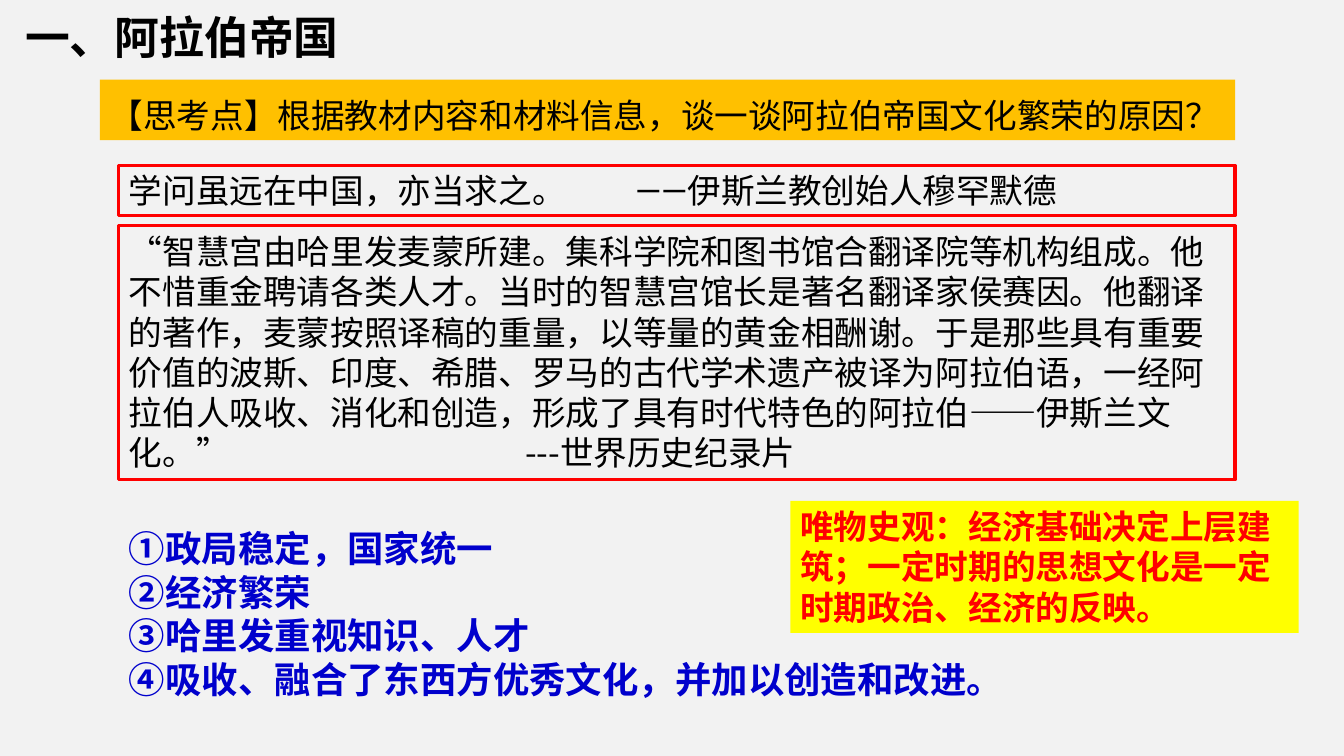
from lxml.etree import SubElement
from pptx import Presentation
from pptx.dml.color import RGBColor
from pptx.enum.shapes import MSO_SHAPE
from pptx.enum.text import MSO_ANCHOR, MSO_AUTO_SIZE, PP_ALIGN
from pptx.oxml.ns import qn
from pptx.util import Inches, Pt

BLACK = RGBColor(0x00, 0x00, 0x00)
RED = RGBColor(0xFF, 0x00, 0x00)
BLUE = RGBColor(0x00, 0x00, 0xCC)
YELLOW = RGBColor(0xFF, 0xFF, 0x00)
AMBER = RGBColor(0xFF, 0xC0, 0x00)
PAPER = RGBColor(0xF2, 0xF2, 0xF2)
HAN_FONT = "Noto Sans CJK SC"
LATIN_FONT = "Roboto"

QUESTION = "【思考点】根据教材内容和材料信息，谈一谈阿拉伯帝国文化繁荣的原因？"
SAYING = "学问虽远在中国，亦当求之。"
SAYING_SOURCE = "——伊斯兰教创始人穆罕默德"
PASSAGE = (
    "“智慧宫由哈里发麦蒙所建。集科学院和图书馆合翻译院等机构组成。"
    "他不惜重金聘请各类人才。当时的智慧宫馆长是著名翻译家侯赛因。"
    "他翻译的著作，麦蒙按照译稿的重量，以等量的黄金相酬谢。"
    "于是那些具有重要价值的波斯、印度、希腊、罗马的古代学术遗产被译为阿拉伯语，"
    "一经阿拉伯人吸收、消化和创造，形成了具有时代特色的阿拉伯——伊斯兰文化。”"
)
PASSAGE_SOURCE = "---世界历史纪录片"
REASONS = [
    "①政局稳定，国家统一",
    "②经济繁荣",
    "③哈里发重视知识、人才",
    "④吸收、融合了东西方优秀文化，并加以创造和改进。",
]
VIEW = "唯物史观：经济基础决定上层建筑；一定时期的思想文化是一定时期政治、经济的反映。"


def write(shape, lines, size, color=BLACK, bold=False, font=HAN_FONT):
    frame = shape.text_frame
    frame.word_wrap = True
    frame.auto_size = MSO_AUTO_SIZE.SHAPE_TO_FIT_TEXT
    frame.vertical_anchor = MSO_ANCHOR.TOP
    for index, line in enumerate(lines):
        para = frame.add_paragraph() if index else frame.paragraphs[0]
        para.alignment = PP_ALIGN.LEFT
        span = para.add_run()
        span.text = line
        span.font.size = Pt(size)
        span.font.bold = bold
        span.font.color.rgb = color
        span.font.name = font
        SubElement(span.font._element, qn("a:ea"), typeface=font)
    return frame.paragraphs[0]


def add_panel(page, box, fill=None, line=None):
    panel = page.shapes.add_shape(MSO_SHAPE.RECTANGLE, *map(Inches, box))
    panel.shadow.inherit = False
    if fill is None:
        panel.fill.background()
    else:
        panel.fill.solid()
        panel.fill.fore_color.rgb = fill
    if line is None:
        panel.line.fill.background()
    else:
        panel.line.color.rgb = line
        panel.line.width = Pt(2.25)
    return panel


def add_quote(page, box, words, source, source_left, font=HAN_FONT):
    panel = add_panel(page, box, line=RED)
    para = write(panel, [f"{words}\t{source}"], 24, font=font)
    tabs = SubElement(para._p.get_or_add_pPr(), qn("a:tabLst"))
    SubElement(tabs, qn("a:tab"), pos=str(Inches(source_left)), algn="l")


def add_question(page, box):
    para = write(add_panel(page, box, fill=AMBER), [QUESTION], 24)
    para.alignment = PP_ALIGN.JUSTIFY
    para.line_spacing = 1.25


def add_words(page, box, lines, size, color=BLACK):
    write(page.shapes.add_textbox(*map(Inches, box)), lines, size, color, bold=True)


def add_view(page, box):
    write(add_panel(page, box, fill=YELLOW), [VIEW], 24, RED, bold=True)


def main():
    deck = Presentation()
    deck.slide_width = Inches(13.33)
    deck.slide_height = Inches(7.5)
    page = deck.slides.add_slide(deck.slide_layouts[6])
    page.background.fill.solid()
    page.background.fill.fore_color.rgb = PAPER

    add_quote(page, (1.18, 1.64, 11.07, 0.5), SAYING, SAYING_SOURCE, 5.02, LATIN_FONT)
    add_quote(page, (1.18, 2.24, 11.07, 2.52), PASSAGE, PASSAGE_SOURCE, 3.93)
    add_question(page, (0.99, 0.79, 11.26, 0.6))
    add_words(page, (0.15, 0.05, 9.89, 0.64), ["一、阿拉伯帝国"], 32)
    add_words(page, (1.18, 5.17, 8.85, 1.85), REASONS, 26, BLUE)
    add_view(page, (7.84, 4.97, 5.04, 1.31))
    deck.save("out.pptx")


if __name__ == "__main__":
    main()
